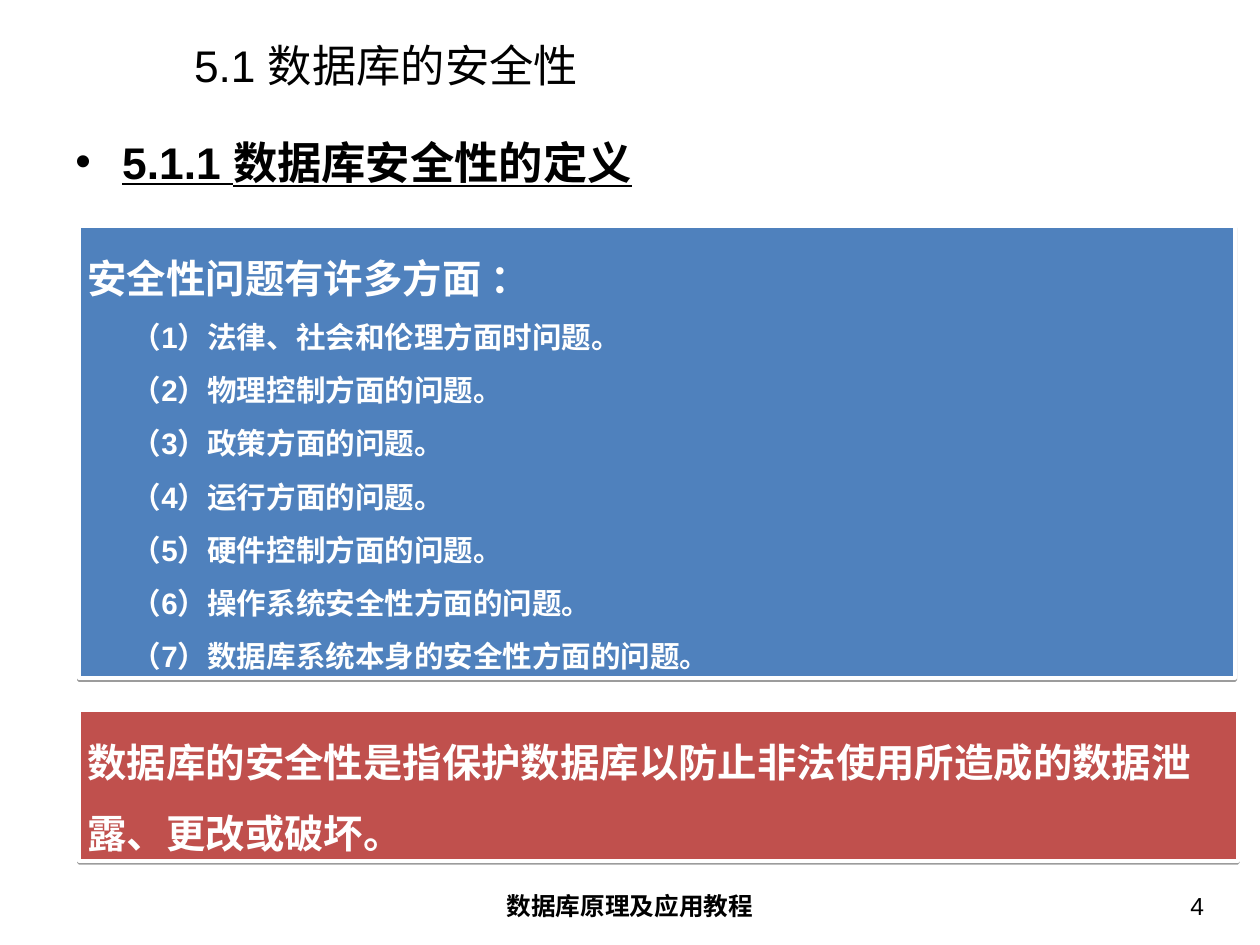
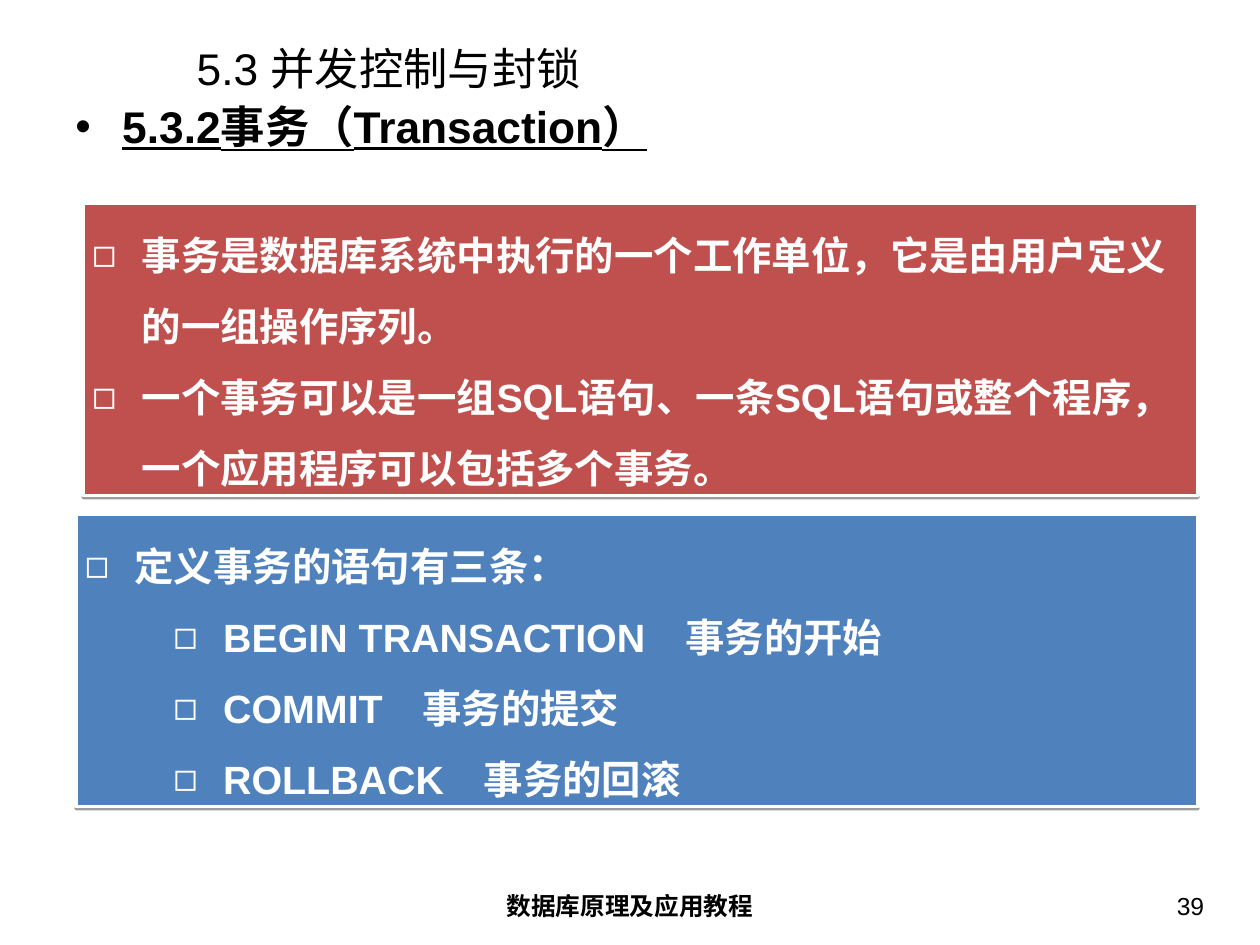
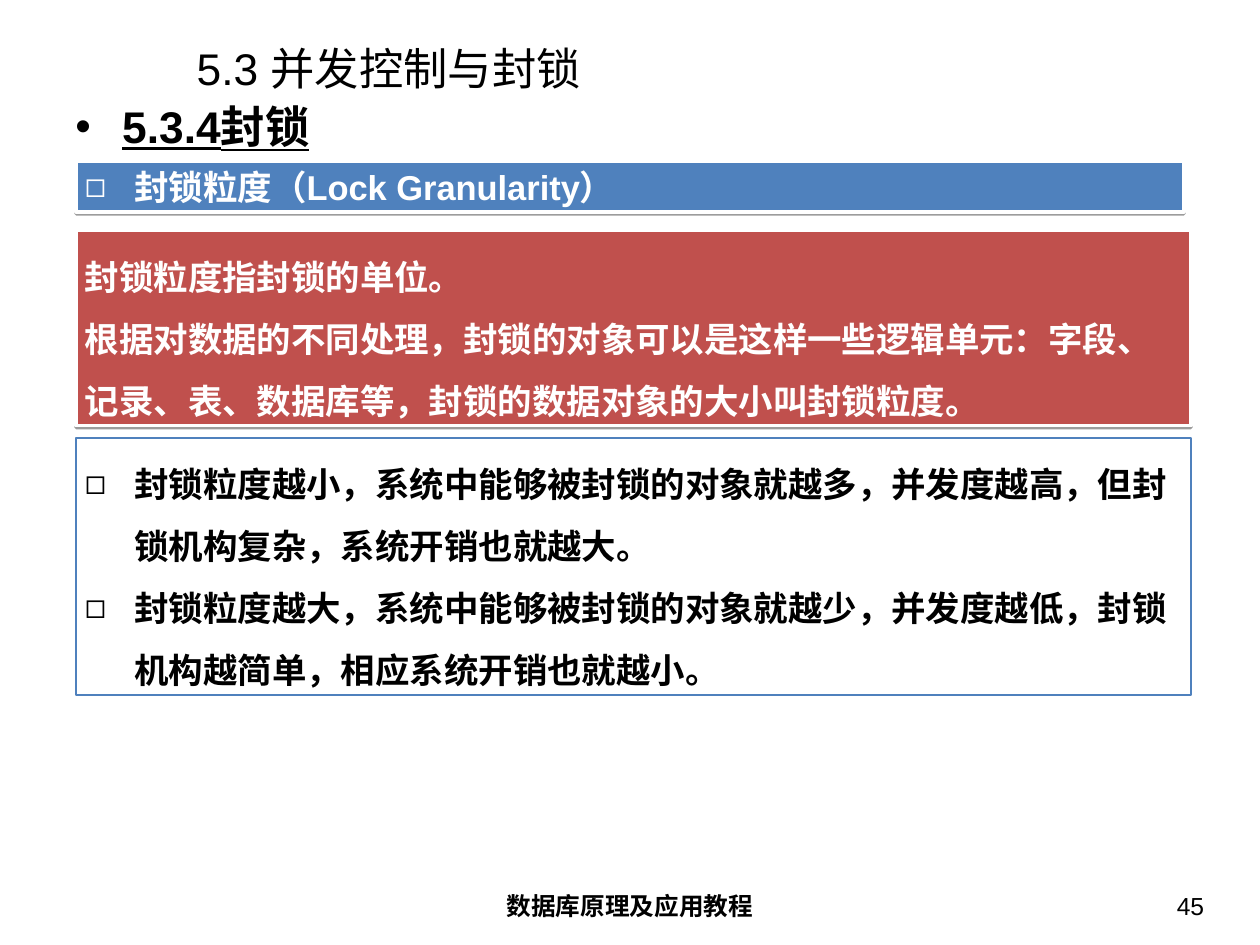
from dataclasses import dataclass

from lxml.etree import SubElement
from pptx import Presentation
from pptx.dml.color import RGBColor
from pptx.enum.lang import MSO_LANGUAGE_ID
from pptx.enum.shapes import MSO_SHAPE
from pptx.enum.text import MSO_ANCHOR, MSO_AUTO_SIZE, PP_ALIGN
from pptx.oxml.ns import qn
from pptx.util import Inches, Pt


@dataclass(frozen=True)
class Theme:
    font: str = "Arial"
    black: RGBColor = RGBColor(0x00, 0x00, 0x00)
    white: RGBColor = RGBColor(0xFF, 0xFF, 0xFF)
    blue: RGBColor = RGBColor(0x4F, 0x81, 0xBD)
    red: RGBColor = RGBColor(0xC0, 0x50, 0x4D)
    title_size: int = 36
    large_size: int = 32
    body_size: int = 28
    item_size: int = 24
    footer_size: int = 20


@dataclass(frozen=True)
class Line:
    text: str
    size: int
    indent: float = 0
    bullet: str = ""
    hanging: float = 0


THEME = Theme()
COURSE = "数据库原理及应用教程"
SECURITY_ISSUES = (
    "法律、社会和伦理方面时问题。",
    "物理控制方面的问题。",
    "政策方面的问题。",
    "运行方面的问题。",
    "硬件控制方面的问题。",
    "操作系统安全性方面的问题。",
    "数据库系统本身的安全性方面的问题。",
)
STATEMENTS = (
    ("BEGIN TRANSACTION", "事务的开始"),
    ("COMMIT", "事务的提交"),
    ("ROLLBACK", "事务的回滚"),
)


def square_item(text, size, indent=0.56):
    return Line(text, size, indent, "◻", 0.56)


def set_insets(frame, horizontal, vertical):
    frame.word_wrap = True
    frame.margin_left = frame.margin_right = Inches(horizontal)
    frame.margin_top = frame.margin_bottom = Inches(vertical)


def write_line(paragraph, line, color, bold=False, underline=False):
    paragraph.text = line.text
    properties = paragraph._p.get_or_add_pPr()
    properties.set("marL", str(Inches(line.indent)))
    properties.set("indent", str(-Inches(line.hanging)))
    if line.bullet:
        SubElement(properties, qn("a:buFont"), typeface=THEME.font)
        SubElement(properties, qn("a:buChar"), char=line.bullet)
    font = paragraph.font
    font.name = THEME.font
    font.size = Pt(line.size)
    font.color.rgb = color
    font.bold = bold
    font.underline = underline
    font.language_id = MSO_LANGUAGE_ID.SIMPLIFIED_CHINESE


def add_label(slide, place, line, align=PP_ALIGN.LEFT, anchor=MSO_ANCHOR.TOP,
              bold=False, underline=False):
    frame = slide.shapes.add_textbox(*map(Inches, place)).text_frame
    set_insets(frame, 0.14, 0.07)
    frame.vertical_anchor = anchor
    paragraph = frame.paragraphs[0]
    write_line(paragraph, line, THEME.black, bold, underline)
    paragraph.alignment = align


def add_shadow(panel):
    effects = panel._element.spPr.find(qn("a:effectLst"))
    shadow = SubElement(effects, qn("a:outerShdw"), dist=str(Pt(1.6)),
                        dir="5400000", rotWithShape="0")
    tint = SubElement(shadow, qn("a:srgbClr"), val=str(THEME.black))
    SubElement(tint, qn("a:alpha"), val="38000")


def add_panel(slide, place, lines, fill, spacing=1.5):
    panel = slide.shapes.add_shape(MSO_SHAPE.RECTANGLE, *map(Inches, place))
    outlined = fill == THEME.white
    panel.shadow.inherit = False
    panel.fill.solid()
    panel.fill.fore_color.rgb = fill
    panel.line.color.rgb = THEME.blue if outlined else THEME.white
    panel.line.width = Pt(2 if outlined else 3)
    if not outlined:
        add_shadow(panel)
    frame = panel.text_frame
    set_insets(frame, 0.1, 0.05)
    frame.auto_size = MSO_AUTO_SIZE.SHAPE_TO_FIT_TEXT
    frame.vertical_anchor = MSO_ANCHOR.TOP
    for index, line in enumerate(lines):
        paragraph = frame.add_paragraph() if index else frame.paragraphs[0]
        write_line(paragraph, line, THEME.black if outlined else THEME.white, bold=True)
        paragraph.alignment = PP_ALIGN.LEFT
        paragraph.line_spacing = spacing


def add_lesson(deck, title, heading, number, title_at=(2.08, 0.48), heading_top=1.05):
    slide = deck.slides.add_slide(deck.slide_layouts[6])
    add_label(slide, (*title_at, 11.83, 0.57), Line(title, THEME.title_size),
              anchor=MSO_ANCHOR.MIDDLE)
    add_label(slide, (0.71, heading_top, 12.8, 0.89),
              Line(heading, THEME.title_size, 0.53, "•", 0.53),
              bold=True, underline=True)
    add_label(slide, (4.86, 9.98, 4.5, 0.55), Line(COURSE, THEME.footer_size),
              PP_ALIGN.CENTER, bold=True)
    add_label(slide, (10.41, 9.98, 3.32, 0.55), Line(str(number), THEME.footer_size),
              PP_ALIGN.RIGHT)
    return slide


def build_security(deck):
    slide = add_lesson(deck, "5.1 数据库的安全性", "5.1.1 数据库安全性的定义", 4,
                       (2.05, 0.45), 1.45)
    definition = "数据库的安全性是指保护数据库以防止非法使用所造成的数据泄露、更改或破坏。"
    add_panel(slide, (0.89, 8.01, 13.08, 1.7),
              [Line(definition, THEME.large_size)], THEME.red)
    issues = [Line(f"（{number}）{issue}", THEME.item_size, 0.5)
              for number, issue in enumerate(SECURITY_ISSUES, 1)]
    add_panel(slide, (0.89, 2.55, 13.05, 5.1),
              [Line("安全性问题有许多方面 ：", THEME.large_size), *issues], THEME.blue)


def build_transaction(deck):
    slide = add_lesson(deck, "5.3 并发控制与封锁", "5.3.2事务（Transaction）", 39)
    size = THEME.large_size
    add_panel(slide, (0.94, 2.29, 12.58, 3.3), [
        square_item("事务是数据库系统中执行的一个工作单位，它是由用户定义的一组操作序列。", size),
        square_item("一个事务可以是一组SQL语句、一条SQL语句或整个程序，一个应用程序可以包括多个事务。", size),
    ], THEME.red)
    statements = [square_item(f"{keyword}　{meaning}", size, 1.56)
                  for keyword, meaning in STATEMENTS]
    add_panel(slide, (0.86, 5.8, 12.66, 3.3),
              [square_item("定义事务的语句有三条：", size), *statements], THEME.blue)


def build_locking(deck):
    slide = add_lesson(deck, "5.3 并发控制与封锁", "5.3.4封锁", 45)
    size = THEME.body_size
    add_panel(slide, (0.86, 1.82, 12.5, 0.57),
              [square_item("封锁粒度（Lock Granularity）", size)], THEME.blue, 1.0)
    add_panel(slide, (0.86, 2.6, 12.58, 2.2), [
        Line("封锁粒度指封锁的单位。", size),
        Line("根据对数据的不同处理，封锁的对象可以是这样一些逻辑单元：字段、记录、表、数据库等，"
             "封锁的数据对象的大小叫封锁粒度。", size),
    ], THEME.red)
    add_panel(slide, (0.86, 4.94, 12.58, 2.9), [
        square_item("封锁粒度越小，系统中能够被封锁的对象就越多，并发度越高，"
                    "但封锁机构复杂，系统开销也就越大。", size),
        square_item("封锁粒度越大，系统中能够被封锁的对象就越少，并发度越低，"
                    "封锁机构越简单，相应系统开销也就越小。", size),
    ], THEME.white)


def main():
    deck = Presentation()
    deck.slide_width = Inches(14.22)
    deck.slide_height = Inches(10.66)
    build_security(deck)
    build_transaction(deck)
    build_locking(deck)
    deck.save("out.pptx")


if __name__ == "__main__":
    main()
